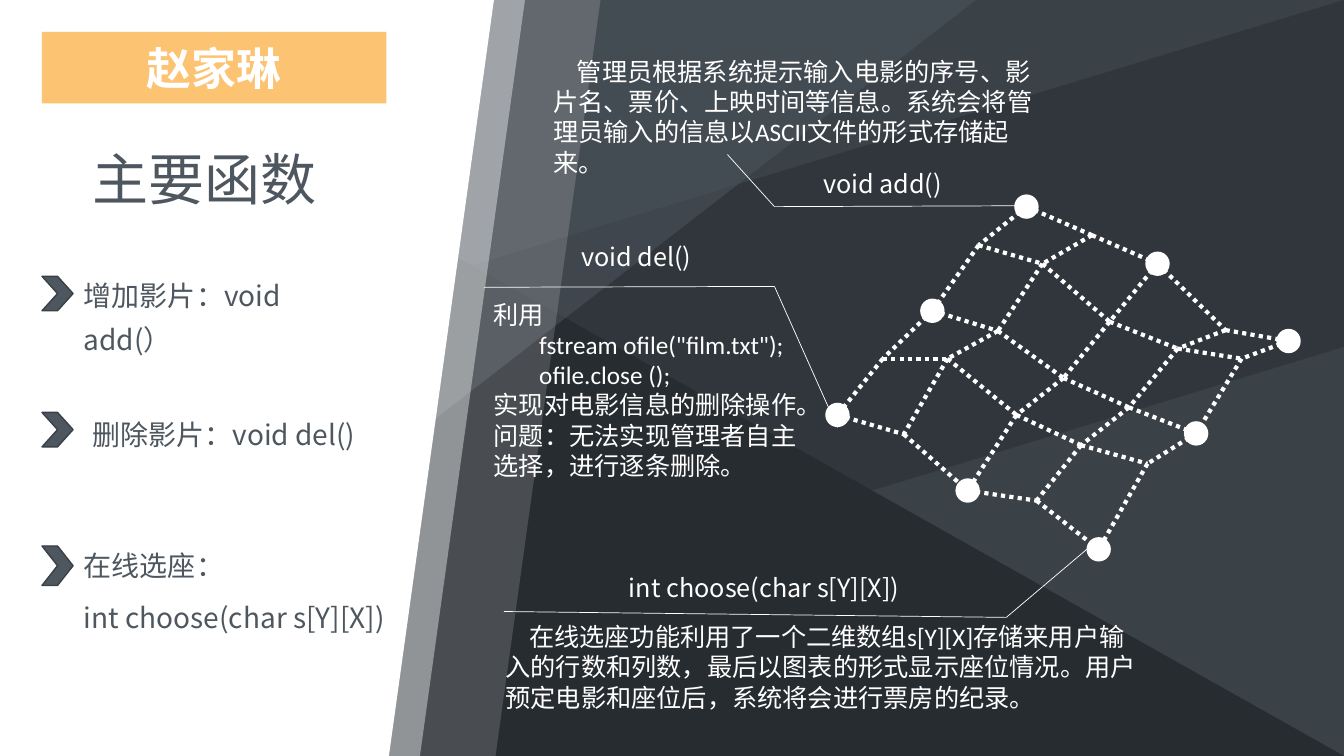
from itertools import pairwise

from lxml import etree
from pptx import Presentation
from pptx.dml.color import RGBColor
from pptx.enum.dml import MSO_LINE
from pptx.enum.shapes import MSO_CONNECTOR, MSO_SHAPE
from pptx.enum.text import MSO_ANCHOR, PP_ALIGN
from pptx.oxml.ns import qn
from pptx.util import Inches, Pt

STRAIGHT = MSO_CONNECTOR.STRAIGHT
CHEVRON, OVAL = MSO_SHAPE.CHEVRON, MSO_SHAPE.OVAL
DOTTED = MSO_LINE.ROUND_DOT
TOP, MIDDLE = MSO_ANCHOR.TOP, MSO_ANCHOR.MIDDLE
LEFT, CENTER = PP_ALIGN.LEFT, PP_ALIGN.CENTER
WHITE, SLATE = "FFFFFF", "4E575F"
CALIBRI, NOTO = "Calibri", "Noto Sans CJK SC"


def paint(fill, color, alpha=100):
    fill.solid()
    fill.fore_color.rgb = RGBColor.from_string(color)
    if alpha < 100:
        srgb = fill._xPr.find(".//" + qn("a:srgbClr"))
        etree.SubElement(srgb, qn("a:alpha"), val=str(alpha * 1000))


def write(box, lines, size, face, color, spacing=1.0, before=0, indent=0,
          align=LEFT, anchor=TOP, bold=False):
    frame = box.text_frame
    frame.word_wrap = True
    frame.vertical_anchor = anchor
    for number, line in enumerate(lines):
        paragraph = frame.add_paragraph() if number else frame.paragraphs[0]
        paragraph.text = line
        paragraph.alignment = align
        paragraph.line_spacing = spacing
        paragraph.space_before = Pt(before if number else 0)
        properties = paragraph._p.get_or_add_pPr()
        properties.set("marL", "0")
        properties.set("indent", str(int(indent)))
        etree.SubElement(properties, qn("a:buNone"))
        font = paragraph.font
        font.size, font.name, font.bold = Pt(size), face, bold
        paint(font.fill, color)
        etree.SubElement(properties.find(qn("a:defRPr")), qn("a:ea"), typeface=NOTO)


deck = Presentation()
deck.slide_width, deck.slide_height = Inches(13.33), Inches(7.5)
COL, ROW = deck.slide_width / 160, deck.slide_height / 90
slide = deck.slides.add_slide(deck.slide_layouts[1])
shapes = slide.shapes
paint(slide.background.fill, "3A4147")

facets = [
    ([(0, 0), (160, 90), (0, 90)], "272C30", 100),
    ([(160, 0), (0, 48.7), (0, 90), (160, 41.3)], "272C30", 50),
    ([(116.2, 0), (35.8, 0), (0, 90)], SLATE, 50),
]
for top_edge, alpha in [(71.5, 16), (62.5, 40), (58.8, 100)]:
    panel = [(0, 0), (top_edge, 0), (top_edge - 12.5, 90), (0, 90)]
    facets.append((panel, WHITE, alpha))
for corners, color, alpha in facets:
    start, *rest = [(round(x * COL), round(y * ROW)) for x, y in corners]
    outline = shapes.build_freeform(*start)
    outline.add_line_segments(rest)
    facet = outline.convert_to_shape()
    facet.shadow.inherit = False
    paint(facet.fill, color, alpha)
    facet.line.fill.background()

heading, author = shapes.title, slide.placeholders[1]
for holder, x, y, w, h in [(author, 5, 3.8, 41, 8.5), (heading, 9.8, 16.3, 87, 9.8)]:
    holder.left, holder.top = round(x * COL), round(y * ROW)
    holder.width, holder.height = round(w * COL), round(h * ROW)
    shapes._spTree.append(holder._element)
paint(author.fill, "FBC372")
write(author, ["赵家琳"], 32, CALIBRI, WHITE, align=CENTER, anchor=MIDDLE, bold=True)
write(heading, ["主要函数"], 40, NOTO, SLATE, anchor=MIDDLE)

mesh = [
    [(122.2, 24.6), (130, 28), (137.8, 31.4), (145.9, 39.3), (153.4, 40.6)],
    [(116.5, 29.2), (124.1, 31.4), (132.1, 38.3), (140.2, 41.5), (147.8, 42.7)],
    [(111, 37), (118.8, 39.4), (126.6, 45), (134.4, 48.5), (142.4, 51.6)],
    [(105.1, 42.7), (112.8, 42.7), (121, 49.4), (128.7, 53), (136.6, 55.2)],
    [(99.7, 49.4), (107.6, 51.7), (115.2, 58.4), (123.4, 59.6), (130.8, 65.4)],
]
leaders = [
    [(86.6, 18.4), (92.2, 24.6), (121, 24.5)],
    [(57.6, 34.2), (92.2, 34.1), (99.7, 50.9)],
    [(60, 72.8), (119.8, 73.5), (129.5, 65.3)],
]
net = shapes.add_group_shape()
strands = [(net.shapes, strand, 3, DOTTED) for strand in [*mesh, *zip(*mesh)]]
strands += [(shapes, leader, 0.5, None) for leader in leaders]
for owner, points, weight, dash in strands:
    for (x1, y1), (x2, y2) in pairwise(points):
        segment = owner.add_connector(STRAIGHT, round(x1 * COL), round(y1 * ROW),
                                      round(x2 * COL), round(y2 * ROW))
        paint(segment.line.fill, WHITE)
        segment.line.width = Pt(weight)
        segment.line.dash_style = dash
        etree.SubElement(segment._element.spPr, qn("a:effectLst"))

DOT = 2.9
for row in (0, 2, 4):
    for column in (0, 2, 4):
        if row == column == 2:
            continue
        x, y = mesh[row][column]
        knot = shapes.add_shape(OVAL, round((x - DOT / 2) * COL), round((y - DOT / 2) * ROW),
                                round(DOT * COL), round(DOT * ROW))
        knot.shadow.inherit = False
        paint(knot.fill, WHITE)
        knot.line.fill.background()

for y, h in [(32.9, 4.1), (49.1, 4.1), (65, 4.7)]:
    marker = shapes.add_shape(CHEVRON, round(5 * COL), round(y * ROW),
                              round(3.7 * COL), round(h * ROW))
    marker.shadow.inherit = False
    paint(marker.fill, SLATE)
    paint(marker.line.fill, "3A4046")
    marker.line.width = Pt(1)

body = dict(size=18, face=CALIBRI, color=WHITE)
opening = dict(body, indent=2.8 * COL)
label = dict(size=18, face=NOTO, color=WHITE, spacing=1.3)
item = dict(size=20, face=NOTO, color=SLATE, spacing=1.3, before=6)
texts = [
    (59, 73.4, 77.6, 12.2, opening,
     ["在线选座功能利用了一个二维数组s[Y][X]存储来用户输入的行数和列数，"
      "最后以图表的形式显示座位情况。用户预定电影和座位后，系统将会进行票房的纪录。"]),
    (64.7, 6.1, 59.6, 12.2, opening,
     ["管理员根据系统提示输入电影的序号、影片名、票价、上映时间等信息。"
      "系统会将管理员输入的信息以ASCII文件的形式存储起来。"]),
    (57.6, 35, 42.8, 23, body,
     ["利用", '        fstream ofile("film.txt");', "        ofile.close ();",
      "实现对电影信息的删除操作。", "问题：无法实现管理者自主", "选择，进行逐条删除。"]),
    (96.8, 18.4, 22.9, 5.9, label, ["void add()"]),
    (68, 27, 23.3, 5.9, label, ["void del()"]),
    (73.7, 66.5, 35.3, 5.9, label, ["int choose(char s[Y][X])"]),
    (8.8, 31.4, 36.1, 6.4, item, ["增加影片：void add(）"]),
    (9.8, 47.9, 39, 6.4, item, ["删除影片：void del()"]),
    (8.8, 63.5, 43, 12.6, item, ["在线选座：", "int choose(char s[Y][X])"]),
]
for x, y, w, h, style, lines in texts:
    note = shapes.add_textbox(round(x * COL), round(y * ROW), round(w * COL), round(h * ROW))
    write(note, lines, **style)

deck.save("out.pptx")
